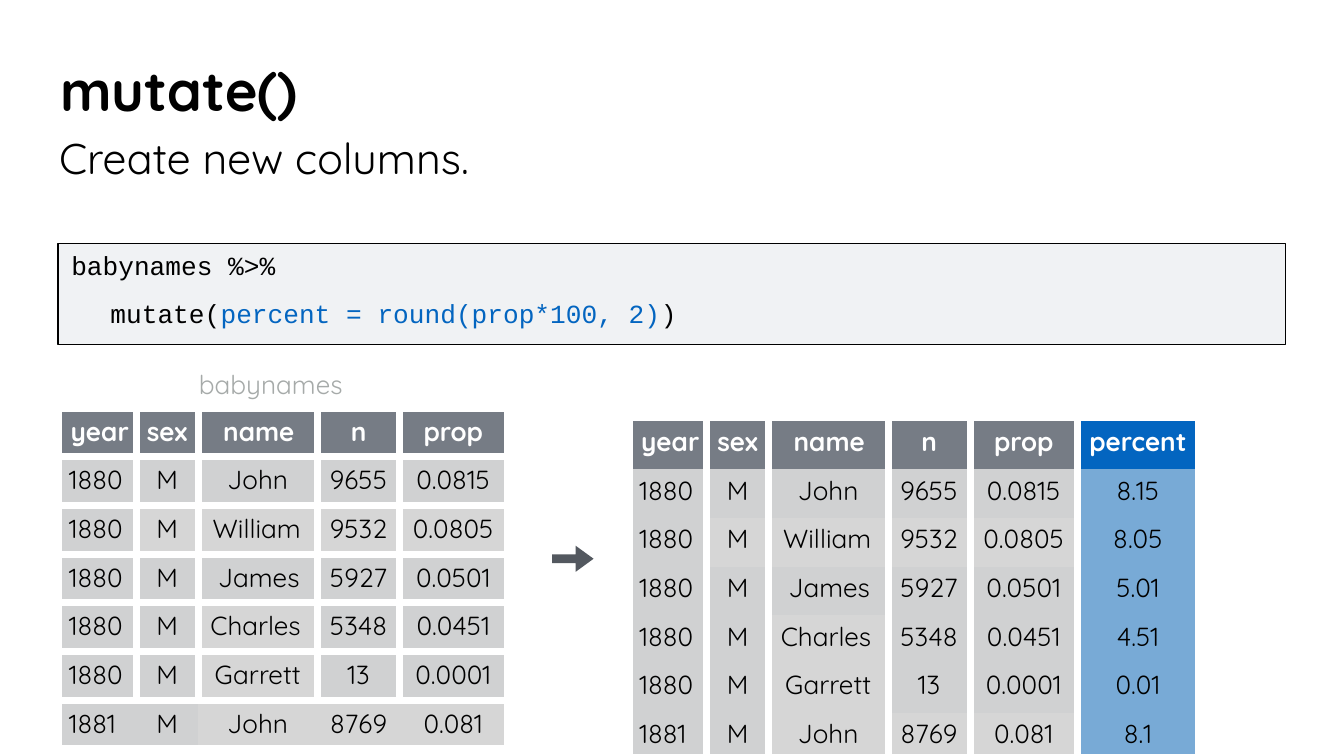
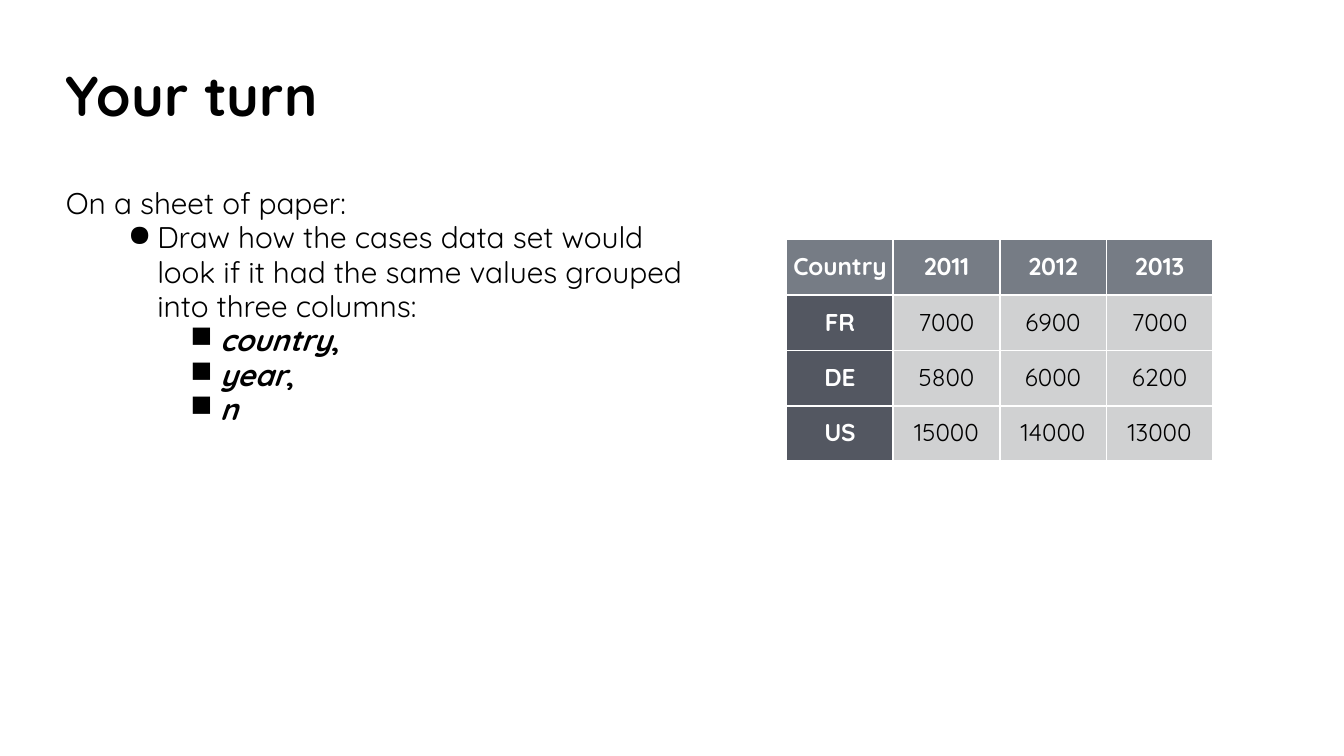
from lxml.etree import SubElement
from pptx import Presentation
from pptx.dml.color import RGBColor
from pptx.enum.shapes import MSO_SHAPE as Shape
from pptx.enum.text import MSO_ANCHOR as Anchor, PP_ALIGN as Align
from pptx.oxml.ns import qn
from pptx.util import Pt

COLORS = {
    "white": "FFFFFF", "black": "000000", "header": "767C85", "row_label": "535761",
    "cell": "D0D1D2", "light_cell": "D6D6D6", "accent": "0365C0",
    "accent_cell": "78AAD6", "code_fill": "F0F2F4", "caption": "A6AAA9",
    "arrow": "53585F",
}
SANS, MONO = "Quicksand", "Courier New"

TITLE = {"name": SANS, "size": Pt(30), "bold": True}
SUBTITLE = {"name": SANS, "size": Pt(23)}
BODY = {"name": SANS, "size": Pt(16)}
CODE = {"name": MONO, "size": Pt(14)}
CAPTION = {"name": SANS, "size": Pt(14)}
CASES_TEXT = {"name": SANS, "size": Pt(13)}

BABYNAMES = [
    ["year", "sex", "name", "n", "prop"],
    ["1880", "M", "John", "9655", "0.0815"],
    ["1880", "M", "William", "9532", "0.0805"],
    ["1880", "M", "James", "5927", "0.0501"],
    ["1880", "M", "Charles", "5348", "0.0451"],
    ["1880", "M", "Garrett", "13", "0.0001"],
    ["1881", "M", "John", "8769", "0.081"],
]
# Columns with the lighter grey, by row
LIGHT_COLUMNS = {2: (1, 2, 3, 4), 4: (2,), 5: (2,), 6: (2, 3, 4)}
BABYNAMES_WIDTHS = [41.6, 33.1, 64.1, 43.9, 57.6]
BABYNAMES_ROW = 26.1
NAME_INDENTS = {"name": 13.5, "John": 15.8, "James": 10.8}

CASES = [
    ["Country", "2011", "2012", "2013"],
    ["FR", "7000", "6900", "7000"],
    ["DE", "5800", "6000", "6200"],
    ["US", "15000", "14000", "13000"],
]


def rgb(color):
    return RGBColor.from_string(COLORS[color])


def set_values(target, values):
    for name, value in values.items():
        setattr(target, name, value)


def add_run(paragraph, text, style, color="black", **extra):
    run = paragraph.add_run()
    run.text = text
    set_values(run.font, {**style, **extra})
    run.font.color.rgb = rgb(color)


def set_frame(frame, top_inset):
    set_values(frame, {
        "word_wrap": True, "vertical_anchor": Anchor.TOP, "margin_left": 0,
        "margin_right": 0, "margin_bottom": 0, "margin_top": Pt(top_inset),
    })


def add_text(slide, box, text="", style=BODY, color="black"):
    frame = slide.shapes.add_textbox(*map(Pt, box)).text_frame
    set_frame(frame, 0.7)
    if text:
        add_run(frame.paragraphs[0], text, style, color)
    return frame


def set_indent(paragraph, left, hanging=0, bullet=None, level=0):
    paragraph.level = level
    properties = paragraph._p.get_or_add_pPr()
    properties.set("marL", str(Pt(left)))
    properties.set("indent", str(-Pt(hanging)))
    if bullet:
        bullet_color = SubElement(properties, qn("a:buClr"))
        SubElement(bullet_color, qn("a:srgbClr"), val=COLORS["black"])
        SubElement(properties, qn("a:buChar"), char=bullet)


def set_borders(cell, sides, width):
    """Draw white lines on the given sides, out of "LRTB", and none on the others."""
    properties = cell._tc.get_or_add_tcPr()
    for side in "LRTB":
        line = SubElement(properties, qn(f"a:ln{side}"), w=str(Pt(width)))
        if side in sides:
            fill = SubElement(line, qn("a:solidFill"))
            SubElement(fill, qn("a:srgbClr"), val=COLORS["white"])
        else:
            SubElement(line, qn("a:noFill"))


def add_grid(slide, left, top, widths, heights):
    table = slide.shapes.add_table(
        len(heights), len(widths), Pt(left), Pt(top), Pt(sum(widths)), Pt(sum(heights))
    ).table
    set_values(table, {"first_row": False, "horz_banding": False})
    for column, width in zip(table.columns, widths):
        column.width = Pt(width)
    for row, height in zip(table.rows, heights):
        row.height = Pt(height)
    return table


def fill_cell(cell, text, style, fill, strong, top_inset, sides, border,
              align=Align.CENTER, left=0, right=0):
    set_borders(cell, sides, border)
    cell.fill.solid()
    cell.fill.fore_color.rgb = rgb(fill)
    set_values(cell, {
        "margin_left": Pt(left), "margin_right": Pt(right),
        "margin_top": Pt(top_inset), "margin_bottom": 0,
        "vertical_anchor": Anchor.TOP,
    })
    paragraph = cell.text_frame.paragraphs[0]
    paragraph.alignment = align
    add_run(paragraph, text, style, "white" if strong else "black", bold=strong)


def babynames_placement(row, column, text):
    """Years and short names are indented, long names sit to the right."""
    if column == 0:
        return {"align": Align.LEFT, "left": 5.5 if row else 6.5}
    if column == 2 and text in NAME_INDENTS:
        return {"align": Align.LEFT, "left": NAME_INDENTS[text]}
    if column == 2:
        return {"align": Align.RIGHT, "right": 9}
    return {}


def babynames_fill(row, column):
    if column == len(BABYNAMES_WIDTHS):
        return "accent_cell" if row else "accent"
    if row == 0:
        return "header"
    return "light_cell" if column in LIGHT_COLUMNS.get(row, ()) else "cell"


def add_babynames(slide, left, top, rows, widths, heights, top_inset, sides_of):
    table = add_grid(slide, left, top, widths, heights)
    for r, row in enumerate(rows):
        for c, text in enumerate(row):
            fill_cell(table.cell(r, c), text, CAPTION, babynames_fill(r, c), r == 0,
                      top_inset, sides_of(r, c), 4.25,
                      **babynames_placement(r, c, text))


def source_sides(row, column):
    """Cells stand apart, except in the last row, which runs through."""
    if row < len(BABYNAMES) - 1:
        return "LRTB"
    return "TB" + {0: "L", len(BABYNAMES_WIDTHS) - 1: "R"}.get(column, "")


def with_percent(rows):
    header, *records = rows
    return [header + ["percent"]] + [
        record + [str(round(float(record[-1]) * 100, 2))] for record in records
    ]


def add_code(slide):
    box = slide.shapes.add_shape(Shape.RECTANGLE, *map(Pt, (31.2, 130.5, 657.4, 54.2)))
    box.shadow.inherit = False
    box.fill.solid()
    box.fill.fore_color.rgb = rgb("code_fill")
    box.line.color.rgb = rgb("black")
    box.line.width = Pt(0.82)
    set_frame(box.text_frame, 3.2)
    data_line = box.text_frame.paragraphs[0]
    mutate_line = box.text_frame.add_paragraph()
    for line, indent in ((data_line, 7), (mutate_line, 28)):
        line.alignment = Align.LEFT
        set_indent(line, indent)
    mutate_line.space_before = Pt(9)
    add_run(data_line, "babynames %>%", CODE)
    add_run(mutate_line, "mutate(", CODE)
    add_run(mutate_line, "percent = round(prop*100, 2)", CODE, "accent")
    add_run(mutate_line, ")", CODE)


def add_arrow(slide):
    tail, neck, tip = 295.8, 308.4, 318
    top, shaft_top, middle, shaft_bottom, bottom = 292.4, 297, 299.4, 301.8, 306.4
    outline = slide.shapes.build_freeform(Pt(neck), Pt(top))
    corners = [(neck, shaft_top), (tail, shaft_top), (tail, shaft_bottom),
               (neck, shaft_bottom), (neck, bottom), (tip, middle)]
    outline.add_line_segments([(Pt(x), Pt(y)) for x, y in corners], close=True)
    arrow = outline.convert_to_shape()
    arrow.shadow.inherit = False
    arrow.fill.solid()
    arrow.fill.fore_color.rgb = rgb("arrow")
    arrow.line.fill.background()


def add_task(slide):
    frame = add_text(slide, (35.3, 99.4, 334, 168.5), "On a sheet of paper:")
    task = frame.add_paragraph()
    set_indent(task, 49, 15.8, "●", 1)
    add_run(task, "Draw how the cases data set would look if it had the same values "
                  "grouped into three columns:", BODY)
    for variable, comma in (("country", ","), ("year", ","), ("n", "")):
        item = frame.add_paragraph()
        set_indent(item, 82.5, 15.8, "■", 2)
        add_run(item, variable, BODY, bold=True, italic=True)
        if comma:
            add_run(item, comma, BODY, bold=True)
    for paragraph in frame.paragraphs:
        paragraph.line_spacing = 0.96


def add_cases(slide):
    table = add_grid(slide, 421.4, 128.4, [57.1] * 4, [29.7] * 4)
    for r, row in enumerate(CASES):
        for c, text in enumerate(row):
            fill = "header" if r == 0 else "row_label" if c == 0 else "cell"
            fill_cell(table.cell(r, c), text, CASES_TEXT, fill, fill != "cell",
                      6.4, "LRTB", 1)


def build_mutate(slide):
    heights = [BABYNAMES_ROW] * len(BABYNAMES)
    add_babynames(slide, 31.4, 218.7, BABYNAMES, BABYNAMES_WIDTHS, heights,
                  3.6, source_sides)
    add_text(slide, (106.6, 196.6, 108, 23.8), "babynames", CAPTION, "caption")
    add_text(slide, (32.4, 28.8, 208.8, 46), "mutate()", TITLE)
    add_arrow(slide)
    add_text(slide, (31.7, 69.8, 292.3, 28), "Create new columns.", SUBTITLE)
    add_code(slide)
    add_babynames(slide, 337, 225.4, with_percent(BABYNAMES), BABYNAMES_WIDTHS + [64.8],
                  heights[:-1] + [22.3], 2.5, lambda row, column: "LR")


def build_your_turn(slide):
    add_task(slide)
    add_cases(slide)
    add_text(slide, (35.3, 31.7, 195, 46), "Your turn", TITLE)


def main():
    deck = Presentation()
    deck.slide_width, deck.slide_height = Pt(720), Pt(405)
    blank = deck.slide_layouts[6]
    for build in (build_mutate, build_your_turn):
        build(deck.slides.add_slide(blank))
    deck.save("out.pptx")


if __name__ == "__main__":
    main()
